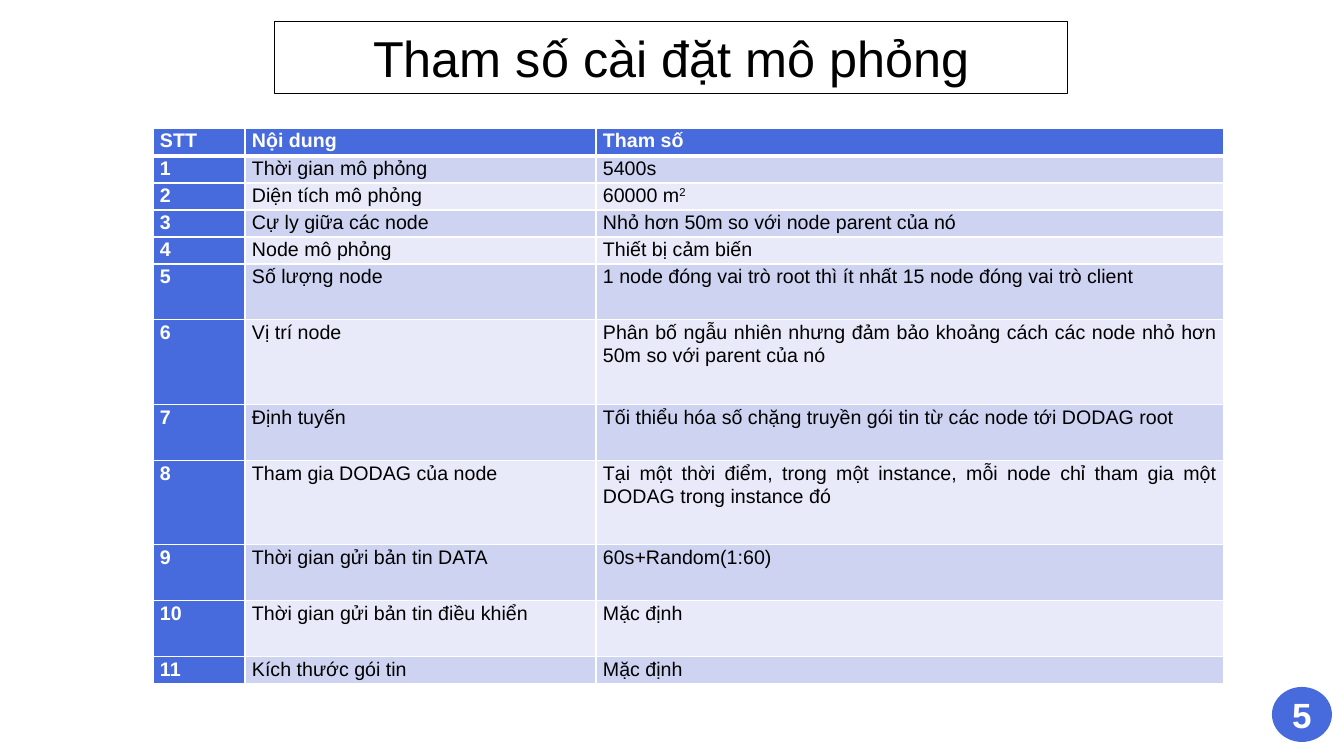
from lxml.etree import SubElement
from pptx import Presentation
from pptx.dml.color import RGBColor
from pptx.enum.shapes import MSO_SHAPE
from pptx.enum.text import MSO_ANCHOR, PP_ALIGN
from pptx.oxml.ns import qn
from pptx.util import Emu, Pt

BLUE, WHITE, BLACK = "476ADD", "FFFFFF", "000000"
BANDS = ["CED3F2", "E8EAF9"]


def px(n):
    return Emu(round(n * 914400 / 100.8))


def rgb(value):
    return RGBColor.from_string(value)


prs = Presentation()
prs.slide_width, prs.slide_height = px(1344), px(756)
s = prs.slides.add_slide(prs.slide_layouts[6])

shapes = [
    (MSO_SHAPE.RECTANGLE, (275, 22, 793, 72), WHITE, BLACK, "Tham số cài đặt mô phỏng", 36, False, MSO_ANCHOR.TOP),
    (MSO_SHAPE.FLOWCHART_CONNECTOR, (1272, 687, 60, 55), BLUE, None, "5", 25, True, MSO_ANCHOR.MIDDLE),
]
for kind, box, fill, line, text, size, bold, anchor in shapes:
    sp = s.shapes.add_shape(kind, *map(px, box))
    sp.shadow.inherit = False
    sp.fill.solid()
    sp.fill.fore_color.rgb = rgb(fill)
    if line:
        sp.line.color.rgb = rgb(line)
        sp.line.width = Pt(0.75)
    else:
        sp.line.fill.background()
    tf = sp.text_frame
    tf.word_wrap = True
    tf.vertical_anchor = anchor
    p = tf.paragraphs[0]
    p.text = text
    p.alignment = PP_ALIGN.CENTER
    p.font.name, p.font.size, p.font.bold = "Arial", Pt(size), bold
    p.font.color.rgb = rgb(line or WHITE)

params = [
    ("Thời gian mô phỏng", "5400s", 27),
    ("Diện tích mô phỏng", "60000 m²", 27),
    ("Cự ly giữa các node", "Nhỏ hơn 50m so với node parent của nó", 27),
    ("Node mô phỏng", "Thiết bị cảm biến", 27),
    ("Số lượng node", "1 node đóng vai trò root thì ít nhất 15 node đóng vai trò client", 56),
    ("Vị trí node", "Phân bố ngẫu nhiên nhưng đảm bảo khoảng cách các node nhỏ hơn 50m so với parent của nó", 85),
    ("Định tuyến", "Tối thiểu hóa số chặng truyền gói tin từ các node tới DODAG root", 56),
    ("Tham gia DODAG của node", "Tại một thời điểm, trong một instance, mỗi node chỉ tham gia một DODAG trong instance đó", 84),
    ("Thời gian gửi bản tin DATA", "60s+Random(1:60)", 56),
    ("Thời gian gửi bản tin điều khiển", "Mặc định", 56),
    ("Kích thước gói tin", "Mặc định", 27),
]
rows = [("STT", "Nội dung", "Tham số", 28)]
rows += [(str(i), *param) for i, param in enumerate(params, 1)]
widths = [92, 351, 628]

table = s.shapes.add_table(
    len(rows), len(widths), px(153), px(128), px(sum(widths)), px(sum(row[-1] for row in rows))
).table
table.first_row = table.horz_banding = False
for col, width in zip(table.columns, widths):
    col.width = px(width)

for i, (*texts, height) in enumerate(rows):
    table.rows[i].height = px(height)
    for j, text in enumerate(texts):
        cell = table.cell(i, j)
        cell.margin_left = cell.margin_right = px(7)
        cell.margin_top = cell.margin_bottom = 0
        heading = i == 0 or j == 0

        tcPr = cell._tc.get_or_add_tcPr()
        for side in "LRTB":
            thick = (i, side) in [(0, "B"), (1, "T")]
            ln = SubElement(tcPr, qn(f"a:ln{side}"), w=str(Pt(3 if thick else 1)))
            SubElement(SubElement(ln, qn("a:solidFill")), qn("a:srgbClr"), val=WHITE)
        cell.fill.solid()
        cell.fill.fore_color.rgb = rgb(BLUE if heading else BANDS[(i - 1) % 2])

        p = cell.text_frame.paragraphs[0]
        p.alignment = PP_ALIGN.JUSTIFY
        p.line_spacing = 1.07
        p.font.name, p.font.size, p.font.bold = "Arial", Pt(14), heading
        p.font.color.rgb = rgb(WHITE if heading else BLACK)
        base, squared, _ = text.partition("²")
        p.add_run().text = base
        if squared:
            r = p.add_run()
            r.text = "2"
            r._r.get_or_add_rPr().set("baseline", "30000")

prs.save("out.pptx")
